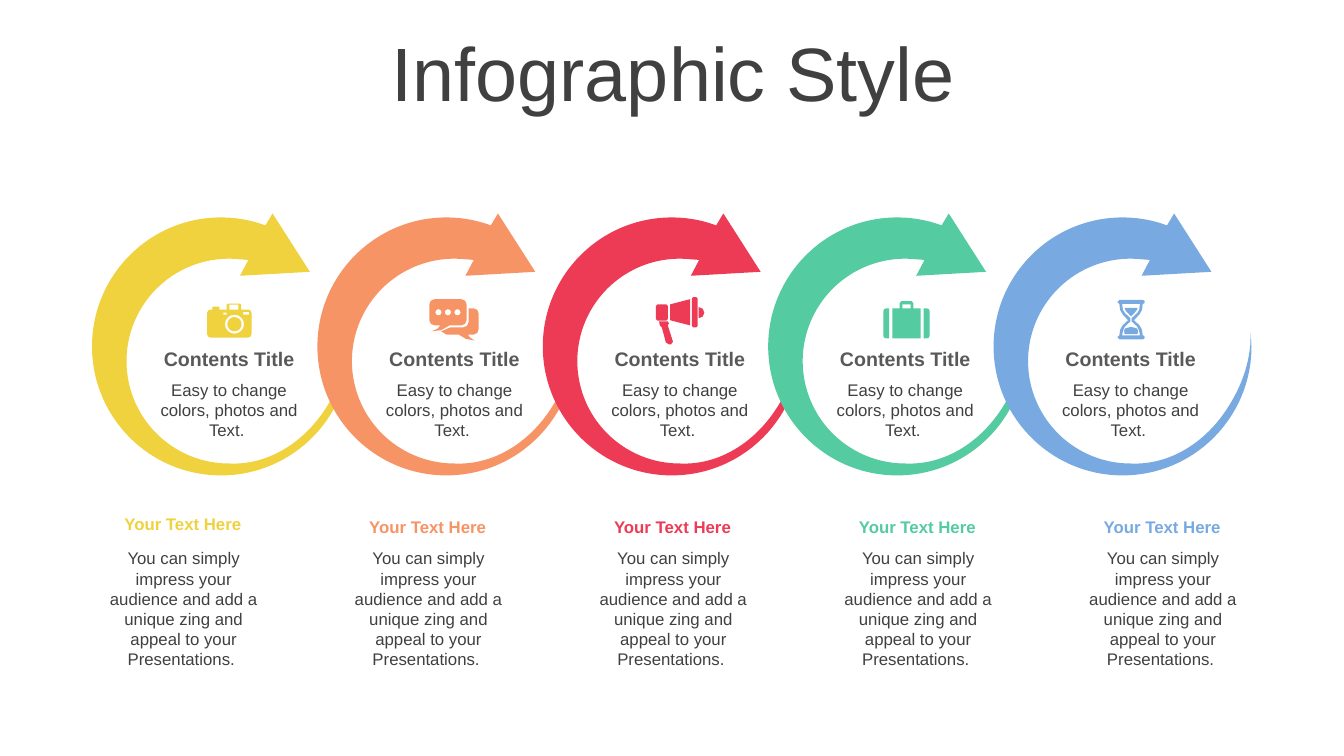
from math import ceil, cos, radians, sin, tan

from lxml.etree import Element
from pptx import Presentation
from pptx.dml.color import RGBColor
from pptx.enum.text import MSO_ANCHOR, PP_ALIGN
from pptx.oxml.ns import qn
from pptx.util import Cm, Pt

DARK, GREY = "404040", "595959"
YELLOW, ORANGE, RED, GREEN, BLUE = "F0D23F", "F79465", "ED3B55", "54CBA0", "78AAE1"


def color(hex_string):
    """Turn a hex string into a colour."""
    return RGBColor.from_string(hex_string)


def arc(x, y, radius, start, end):
    """Return a start point and cubic curves along a circle, clockwise from the right."""
    pieces = ceil(abs(end - start) / 90)
    step = radians(end - start) / pieces
    handle = 4 / 3 * tan(step / 4)
    first = radians(start)
    segments = [(x + radius * cos(first), y + radius * sin(first))]
    for i in range(pieces):
        a, b = first + i * step, first + (i + 1) * step
        segments.append((x + radius * (cos(a) - handle * sin(a)),
                         y + radius * (sin(a) + handle * cos(a)),
                         x + radius * (cos(b) + handle * sin(b)),
                         y + radius * (sin(b) - handle * cos(b)),
                         x + radius * cos(b), y + radius * sin(b)))
    return segments


def circle(x, y, radius):
    """Return the outline of a circle."""
    return arc(x, y, radius, 0, 360)


def box(left, top, width, height, radius=0):
    """Return the outline of a rectangle, with rounded corners if a radius is given."""
    near_x, near_y = left + radius, top + radius
    far_x, far_y = left + width - radius, top + height - radius
    corners = ((far_x, far_y, 0), (near_x, far_y, 90), (near_x, near_y, 180), (far_x, near_y, 270))
    if not radius:
        return [corner[:2] for corner in corners]
    return [s for x, y, turn in corners for s in arc(x, y, radius, turn, turn + 90)]


def mirrored(half, width):
    """Close a left half outline with its reflection."""
    return half + [(width - x, y) for x, y in reversed(half)]


def camera():
    """Return the outlines of the camera."""
    return [box(0, .15, 1.12, .71, .09), circle(.69, .52, .24), circle(.69, .52, .18),
            box(.41, .23, .08, .05), box(.91, .21, .15, .07), box(.13, .08, .18, .07),
            [(.49, .15), (.49, .03), (.52, 0), (.83, 0), (.86, .03), (.86, .15),
             (.79, .15), (.79, .03), (.56, .03), (.56, .15)]]


def speech_bubbles():
    """Return the outlines of the two speech bubbles."""
    return [box(0, 0, .94, .66, .13), *[circle(x, .33, .08) for x in (.23, .47, .71)],
            [(.51, .66), (.3, .78), (.05, .81), (.2, .75), (.28, .66)],
            [(.99, .23), (1.12, .23), (1.21, .27), (1.24, .36), (1.24, .76), (1.21, .85),
             (1.12, .89), (.97, .89), (1.02, .96), (1.14, 1.04), (.92, 1), (.74, .89),
             (.43, .89), (.3, .81), (.53, .71), (.86, .71), (.95, .67), (.99, .58)]]


def megaphone():
    """Return the outlines of the megaphone."""
    return [box(0, .18, .3, .41, .04), box(.91, 0, .14, .76, .03),
            [(.86, .05), (.86, .71), (.36, .58), (.36, .18)],
            arc(1.08, .39, .14, -90, 90),
            [(.3, .61), (.33, .66), (.3, .71), (.43, 1.12), (.38, 1.19), (.33, 1.19),
             (.25, 1.14), (.15, .76), (.1, .71), (.08, .61)]]


def suitcase():
    """Return the outlines of the suitcase."""
    side = [(.15, .18), (.08, .18), (.02, .2), (0, .26), (0, .86), (.02, .92),
            (.08, .94), (.15, .94)]
    middle = [(.23, .94), (.23, .18), (.41, .18), (.41, .05), (.46, 0)]
    return [side, [(1.17 - x, y) for x, y in side], mirrored(middle, 1.17),
            box(.48, .08, .21, .1)]


def hourglass():
    """Return the outlines of the hourglass."""
    halves = ([(.05, .1), (.07, .25), (.13, .36), (.27, .51), (.13, .64), (.07, .75), (.05, .89)],
              [(.12, .1), (.14, .25), (.19, .33), (.33, .46), (.33, .54), (.19, .67),
               (.14, .78), (.12, .89)],
              [(.18, .2), (.21, .27), (.34, .41)],
              [(.34, .68), (.21, .71), (.17, .76), (.18, .86)])
    return [box(0, 0, .69, .1, .05), box(0, .89, .69, .1, .05),
            *[mirrored(half, .69) for half in halves]]


def ring():
    """Return the outline of the circular arrow with its thin tail."""
    inner = arc(3.45, 3.72, 2.58, -84, -270)
    tail = [(4.45, 6.35, 5.4, 5.75, 5.97, 4.78), (6.27, 4.29, 6.43, 3.78, 6.47, 3.3)]
    outer = arc(3.25, 3.35, 3.25, 0, 270) + arc(3.25, 3.35, 3.25, 270, 287)[1:]
    return [[(4.55, 0), (5.49, 1.47), (3.73, 1.57), (3.94, 1.17), *inner, *tail,
             (6.48, 3.02), *outer, (4.37, .3)]]


def add_outline(slide, left, top, outlines, fill):
    """Draw closed outlines of points and cubic curves as one filled shape."""
    builder = None
    for outline in outlines:
        points = [(Cm(segment[-2]), Cm(segment[-1])) for segment in outline]
        if builder is None:
            builder = slide.shapes.build_freeform(*points[0])
        else:
            builder.move_to(*points[0])
        builder.add_line_segments(points[1:], close=True)
    shape = builder.convert_to_shape(Cm(left), Cm(top))
    offset_x, offset_y = shape.left - Cm(left), shape.top - Cm(top)
    segments = [segment for outline in outlines for segment in outline[1:]]
    for line, segment in zip(list(shape.element.iter(qn("a:lnTo"))), segments):
        if len(segment) == 6:
            line.tag = qn("a:cubicBezTo")
            for i in (0, 1):
                x, y = Cm(segment[2 * i]) - offset_x, Cm(segment[2 * i + 1]) - offset_y
                line.insert(i, Element(qn("a:pt"), x=str(x), y=str(y)))
    shape.shadow.inherit = False
    shape.fill.solid()
    shape.fill.fore_color.rgb = color(fill)
    shape.line.fill.background()


def add_text(slide, left, top, width, height, text, size, hex_string, bold=False):
    """Add a centred text box and return its text frame."""
    text_frame = slide.shapes.add_textbox(Cm(left), Cm(top), Cm(width), Cm(height)).text_frame
    text_frame.word_wrap = True
    text_frame.text = text
    paragraph = text_frame.paragraphs[0]
    paragraph.alignment = PP_ALIGN.CENTER
    font = paragraph.runs[0].font
    font.name, font.size, font.bold = "Arial", Pt(size), bold
    font.color.rgb = color(hex_string)
    return text_frame


def add_title(slide, left, top, width, height):
    """Add the slide title."""
    text_frame = add_text(slide, left, top, width, height, "Infographic Style", 54, DARK)
    text_frame.vertical_anchor = MSO_ANCHOR.MIDDLE
    text_frame.paragraphs[0].line_spacing = 0.9


def add_step(slide, left, top, fill, icon, icon_left, icon_top):
    """Add a circular arrow with its icon, title and text."""
    add_outline(slide, left, top, ring(), fill)
    add_outline(slide, left + icon_left, top + icon_top, icon(), fill)
    add_text(slide, left + 1.45, top + 4.06, 4.01, 1.8,
             "Easy to change colors, photos and Text. ", 12, DARK)
    add_text(slide, left + 1.45, top + 3.23, 4.01, 0.86, "Contents Title", 14, GREY, True)


def add_caption(slide, left, top, heading_top, fill):
    """Add a coloured heading and the paragraph below it."""
    add_text(slide, left, heading_top, 4.6, 0.77, "Your Text Here", 12, fill, True)
    add_text(slide, left + 0.02, top, 4.6, 3.33,
             "You can simply impress your audience and add a unique zing and appeal "
             "to your Presentations. ", 12, DARK)


def main():
    """Build the slide and save it."""
    presentation = Presentation()
    presentation.slide_width, presentation.slide_height = Cm(33.87), Cm(19.05)
    slide = presentation.slides.add_slide(presentation.slide_layouts[6])
    add_title(slide, 0.89, 0.94, 32.16, 2.01)
    steps = ((YELLOW, camera, 2.9, 2.27), (ORANGE, speech_bubbles, 2.82, 2.16),
             (RED, megaphone, 2.85, 2.11), (GREEN, suitcase, 2.9, 2.21),
             (BLUE, hourglass, 3.12, 2.18))
    for index, (fill, icon, icon_left, icon_top) in enumerate(steps):
        add_step(slide, 2.32 + 5.68 * index, 5.38, fill, icon, icon_left, icon_top)
        add_caption(slide, 2.31 + 6.17 * index, 13.69, 12.9 if index else 12.83, fill)
    presentation.save("out.pptx")


if __name__ == "__main__":
    main()
